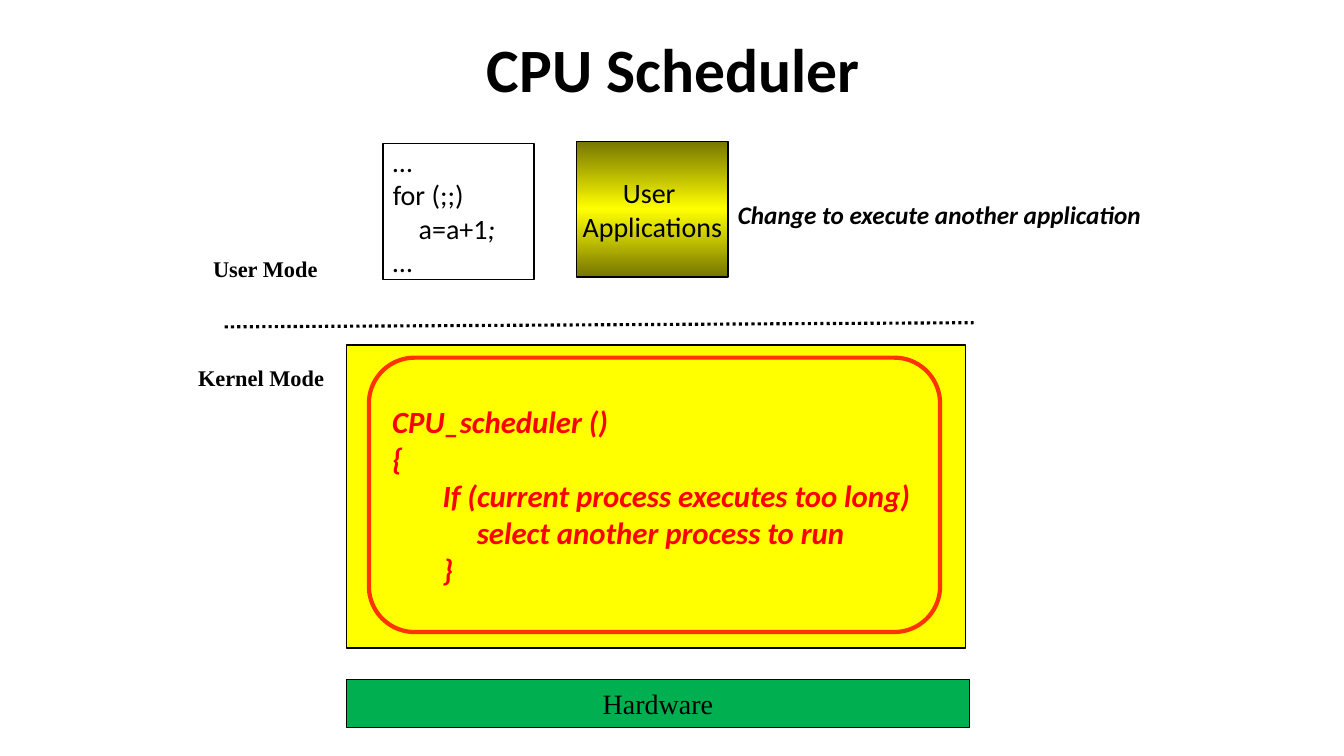
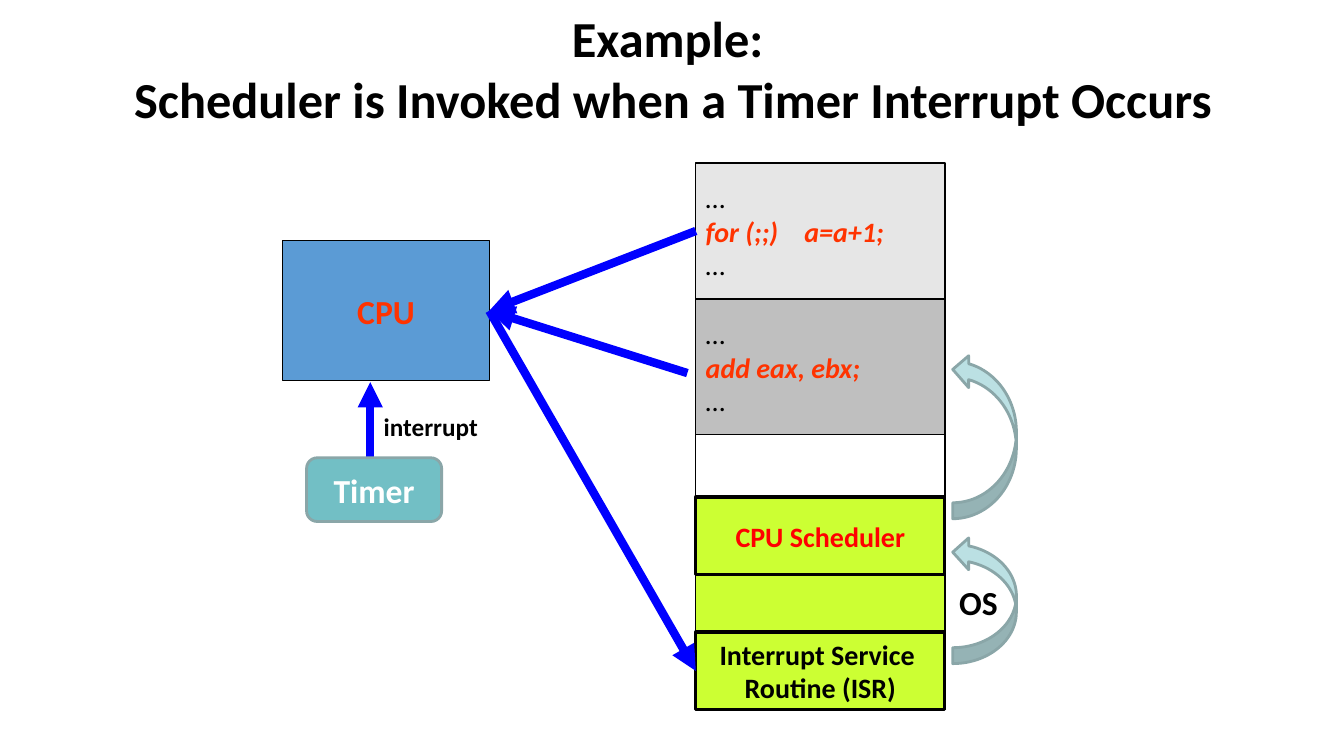
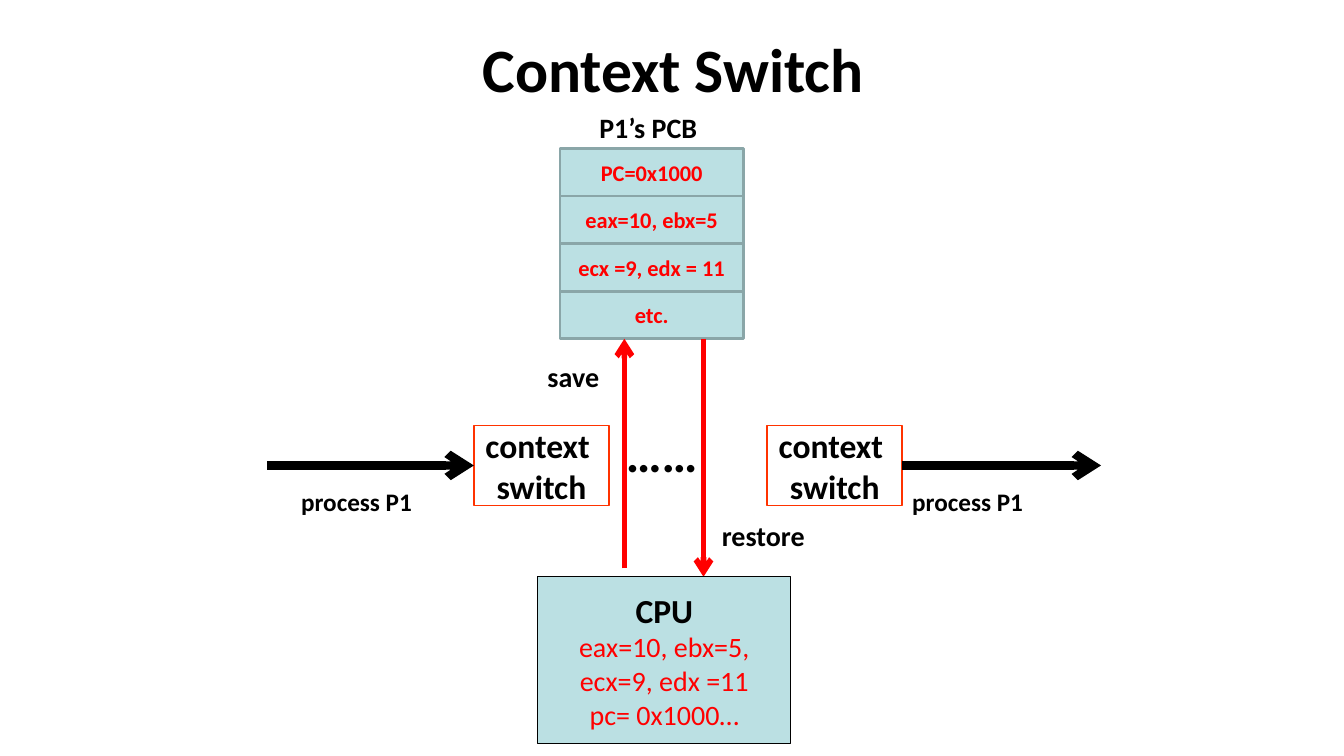
"""Build three slides on CPU scheduling and context switching."""
import copy
import dataclasses

import pptx
import pptx.dml.color
import pptx.enum.dml
import pptx.enum.shapes
import pptx.enum.text
import pptx.oxml
import pptx.oxml.ns
import pptx.util

Pt = pptx.util.Pt
qn = pptx.oxml.ns.qn
SHAPE = pptx.enum.shapes.MSO_SHAPE
ALIGN = pptx.enum.text.PP_ALIGN
ANCHOR = pptx.enum.text.MSO_ANCHOR
TOP, LEFT, BOTTOM, RIGHT = range(4)


@dataclasses.dataclass(frozen=True)
class Theme:
    """Fonts, type sizes and colours of the deck."""
    sans: str = "Calibri"
    serif: str = "Times New Roman"
    title: int = 44
    long_title: int = 36
    dots: int = 36
    large: int = 24
    code: int = 22
    body: int = 20
    label: int = 18
    small: int = 16
    black: str = "000000"
    white: str = "FFFFFF"
    red: str = "FF0000"
    orange: str = "FF3300"
    yellow: str = "FFFF00"
    olive: str = "767600"
    green: str = "00B050"
    lime: str = "CCFF33"
    blue: str = "0000FF"
    steel: str = "5B9BD5"
    teal: str = "72BFC5"
    pale: str = "BBE0E3"
    slate: str = "8AA6A8"
    light_gray: str = "E6E6E6"
    mid_gray: str = "BFBFBF"


T = Theme()


def rgb(color):
    """Return the colour object for a hex string."""
    return pptx.dml.color.RGBColor.from_string(color)


def add_run(p, text, size=T.body, color=T.black, bold=False, italic=False, font=T.sans):
    """Append a formatted run to a paragraph."""
    r = p.add_run()
    r.text = text
    r.font.name, r.font.size = font, Pt(size)
    r.font.bold, r.font.italic = bold, italic
    r.font.color.rgb = rgb(color)


def write(sp, lines, align=ALIGN.CENTER, anchor=ANCHOR.MIDDLE, wrap=False, **fmt):
    """Fill a shape with lines, each a string or a (string, overrides) pair."""
    tf = sp.text_frame
    tf.word_wrap, tf.vertical_anchor = wrap, anchor
    tf.auto_size = pptx.enum.text.MSO_AUTO_SIZE.NONE
    for i, line in enumerate(lines):
        text, extra = (line, {}) if isinstance(line, str) else line
        style = {**fmt, **extra}
        p = tf.paragraphs[0] if i == 0 else tf.add_paragraph()
        p.alignment = align
        pPr = p._p.get_or_add_pPr()
        indent, tab = style.pop("indent", 0), style.pop("tab", 0)
        if indent:
            pPr.set("marL", str(Pt(indent)))
            pPr.set("indent", "0")
        if tab:
            tabs = pPr.makeelement(qn("a:tabLst"), {})
            tabs.append(tabs.makeelement(qn("a:tab"), {"pos": str(Pt(tab)), "algn": "l"}))
            pPr.append(tabs)
        add_run(p, text, **style)


def add_box(s, x, y, w, h, lines=(), kind=SHAPE.RECTANGLE, fill=None,
            line=T.black, width=1, **fmt):
    """Add an outlined preset shape with optional text."""
    sp = s.shapes.add_shape(kind, Pt(x), Pt(y), Pt(w), Pt(h))
    sp.shadow.inherit = False
    if fill:
        sp.fill.solid()
        sp.fill.fore_color.rgb = rgb(fill)
    else:
        sp.fill.background()
    sp.line.color.rgb, sp.line.width = rgb(line), Pt(width)
    write(sp, lines, **fmt)
    return sp


def add_label(s, x, y, w, h, text, **fmt):
    """Add a bold one-line text box."""
    sp = s.shapes.add_textbox(Pt(x), Pt(y), Pt(w), Pt(h))
    write(sp, [text], **{"align": ALIGN.LEFT, "anchor": ANCHOR.TOP, "bold": True, **fmt})


def add_line(s, start, end, color, width, head=None, dash=None):
    """Join two ends, each an (x, y) point or a (shape, side) pair."""
    points = [(0, 0) if hasattr(e[0], "shape_id") else e for e in (start, end)]
    cx = s.shapes.add_connector(pptx.enum.shapes.MSO_CONNECTOR.STRAIGHT,
                                *(Pt(v) for point in points for v in point))
    for e, connect in ((start, cx.begin_connect), (end, cx.end_connect)):
        if hasattr(e[0], "shape_id"):
            connect(*e)
    cx.line.color.rgb, cx.line.width = rgb(color), Pt(width)
    if dash:
        cx.line.dash_style = dash
    spPr = cx._element.spPr
    if head:
        ln = cx.line._get_or_add_ln()
        ln.append(ln.makeelement(qn("a:tailEnd"), {"type": head}))
    spPr.append(spPr.makeelement(qn("a:effectLst"), {}))


def add_gradient(sp, stops):
    """Give a shape a vertical gradient of (position, colour) stops."""
    sp.fill.gradient()
    sp.fill.gradient_angle = 90
    gs_lst = sp._element.spPr.find(".//" + qn("a:gsLst"))
    while len(gs_lst) < len(stops):
        gs_lst.append(copy.deepcopy(gs_lst[0]))
    for stop, (position, color) in zip(sp.fill.gradient_stops, stops):
        stop.position = position
        stop.color.rgb = rgb(color)


def add_slide(prs, lines, size=T.title):
    """Add a slide with a bold centred title."""
    s = prs.slides.add_slide(prs.slide_layouts[5])
    write(s.shapes.title, lines, wrap=True, size=size, bold=True)
    return s


def build_scheduler(prs):
    """Show the scheduler between user mode and hardware."""
    s = add_slide(prs, ["CPU Scheduler"])
    add_line(s, (160.5, 233.5), (695.5, 230.5), T.black, 2.25,
             dash=pptx.enum.dml.MSO_LINE.ROUND_DOT)
    add_box(s, 247.5, 485.5, 445, 34, ["Hardware"], fill=T.green, font=T.serif)
    add_box(s, 247.5, 246.5, 442, 216.5, fill=T.yellow)
    for x, y, w, mode in ((145, 179, 89, "User Mode"), (134, 256.5, 105, "Kernel Mode")):
        add_label(s, x, y, w, 26.5, mode, size=T.small, font=T.serif, align=ALIGN.CENTER)
    add_label(s, 520, 139, 314.5, 29, "Change to execute another application",
              size=T.label, italic=True, wrap=True)
    add_box(s, 263.5, 255.5, 408, 196,
            ["CPU_scheduler ()", "{",
             ("If (current process executes too long)", {"indent": 36}),
             ("select another process to run", {"indent": 60.5}),
             ("}", {"indent": 36})],
            kind=SHAPE.ROUNDED_RECTANGLE, line=T.orange, width=3, align=ALIGN.LEFT,
            wrap=True, size=T.code, color=T.red, bold=True, italic=True)
    code = add_box(s, 273.5, 102.5, 108, 97,
                   ["…", "for (;;)", ("a=a+1", {"indent": 18.5}), "…"],
                   fill=T.white, align=ALIGN.LEFT, wrap=True)
    add_run(code.text_frame.paragraphs[2], ";", italic=True)
    apps = add_box(s, 412, 101, 108, 97, ["User ", "Applications"])
    add_gradient(apps, ((0, T.olive), (0.5, T.yellow), (1, T.olive)))


def build_timer_example(prs):
    """Show a timer interrupt that leads to the scheduler."""
    s = add_slide(prs, ["Example: ", "Scheduler is Invoked when a Timer Interrupt Occurs"],
                  T.long_title)
    x, w = 497, 178
    emphasis = {"color": T.orange, "bold": True, "italic": True}
    add_box(s, x, 355, w, 152, fill=T.lime)
    add_box(s, x, 214, w, 141)
    apps = [add_box(s, x, y, w, 97, ["…", (text, {**emphasis, **extra}), "…"],
                    fill=fill, align=ALIGN.LEFT, wrap=True)
            for y, fill, text, extra in (
                (116.5, T.light_gray, "for (;;)\ta=a+1;", {"tab": 70.5}),
                (213.5, T.mid_gray, "add eax, ebx;", {}))]
    isr = add_box(s, x, 451.5, w, 55.5, ["Interrupt Service ", "Routine (ISR)"],
                  width=2.25, bold=True)
    add_box(s, x, 355, w, 55.5, ["CPU Scheduler"], width=2.25, color=T.red, bold=True)
    cpu = add_box(s, 202, 172, 147.5, 100, ["CPU"], fill=T.steel, size=T.large,
                  color=T.orange, bold=True)
    for start, end in (((apps[0], LEFT), (cpu, RIGHT)),
                       ((cpu, RIGHT), (isr, LEFT)),
                       ((264.5, 327), (264.5, 273)),
                       ((491, 266.5), (cpu, RIGHT))):
        add_line(s, start, end, T.blue, 6, "triangle")
    add_label(s, 267, 290, 82, 29, "interrupt", size=T.label)
    add_box(s, 219, 327, 96.5, 45.5, ["Timer"], kind=SHAPE.ROUNDED_RECTANGLE,
            fill=T.teal, line=T.slate, width=2, size=T.large, color=T.white, bold=True)
    for y, h in ((383, 91), (252.5, 118)):
        arrow = add_box(s, 680.5, y, 45.5, h, kind=SHAPE.CURVED_RIGHT_ARROW,
                        fill=T.pale, line=T.slate, width=2)
        arrow.rotation = 180
    add_label(s, 678, 412, 42.5, 36, "OS", size=T.large)


def build_context_switch(prs):
    """Show registers saved to and restored from a PCB."""
    s = add_slide(prs, ["Context Switch"])
    for i, text in enumerate(("PC=0x1000", "eax=10, ebx=5", "ecx =9, edx = 11", "etc.")):
        add_box(s, 400, 106 + 34 * i, 131, 34, [text], fill=T.pale, line=T.slate,
                width=2, size=T.small, color=T.red, bold=True)
    before, after = (
        add_box(s, x, 304, 96.5, 57, ["context ", "switch"], line=T.orange,
                size=T.large, bold=True)
        for x in (338.5, 548))
    for start, end in (((191, 332.5), (before, LEFT)), ((after, RIGHT), (786.5, 332.5))):
        add_line(s, start, end, T.black, 6, "arrow")
    for start, end in (((446, 406), (446, 242)), ((502.5, 242), (502.5, 412))):
        add_line(s, start, end, T.red, 4, "arrow")
    add_box(s, 384, 412, 181, 119,
            [("CPU", {"size": T.large, "color": T.black, "bold": True}),
             "eax=10, ebx=5,", "ecx=9, edx =11", "pc= 0x1000…"],
            fill=T.pale, width=0.75, color=T.red)
    for x, y, w, h, text, size in ((208, 343.5, 96.5, 29, "process P1", T.label),
                                   (644.5, 343.5, 96.5, 29, "process P1", T.label),
                                   (440, 298, 66, 51, "……", T.dots),
                                   (384, 253, 52, 31.5, "save", T.body),
                                   (508.5, 366.5, 74, 31.5, "restore", T.body),
                                   (421, 75.5, 85, 31.5, "P1’s PCB", T.body)):
        add_label(s, x, y, w, h, text, size=size)


def main():
    """Build and save the deck."""
    prs = pptx.Presentation()
    prs.slide_width, prs.slide_height = Pt(960), Pt(540)
    title = prs.slide_layouts[5].placeholders[0]
    title.left, title.top, title.width, title.height = Pt(49), Pt(3.5), Pt(864), Pt(90)
    build_scheduler(prs)
    build_timer_example(prs)
    build_context_switch(prs)
    prs.save("out.pptx")


if __name__ == "__main__":
    main()
